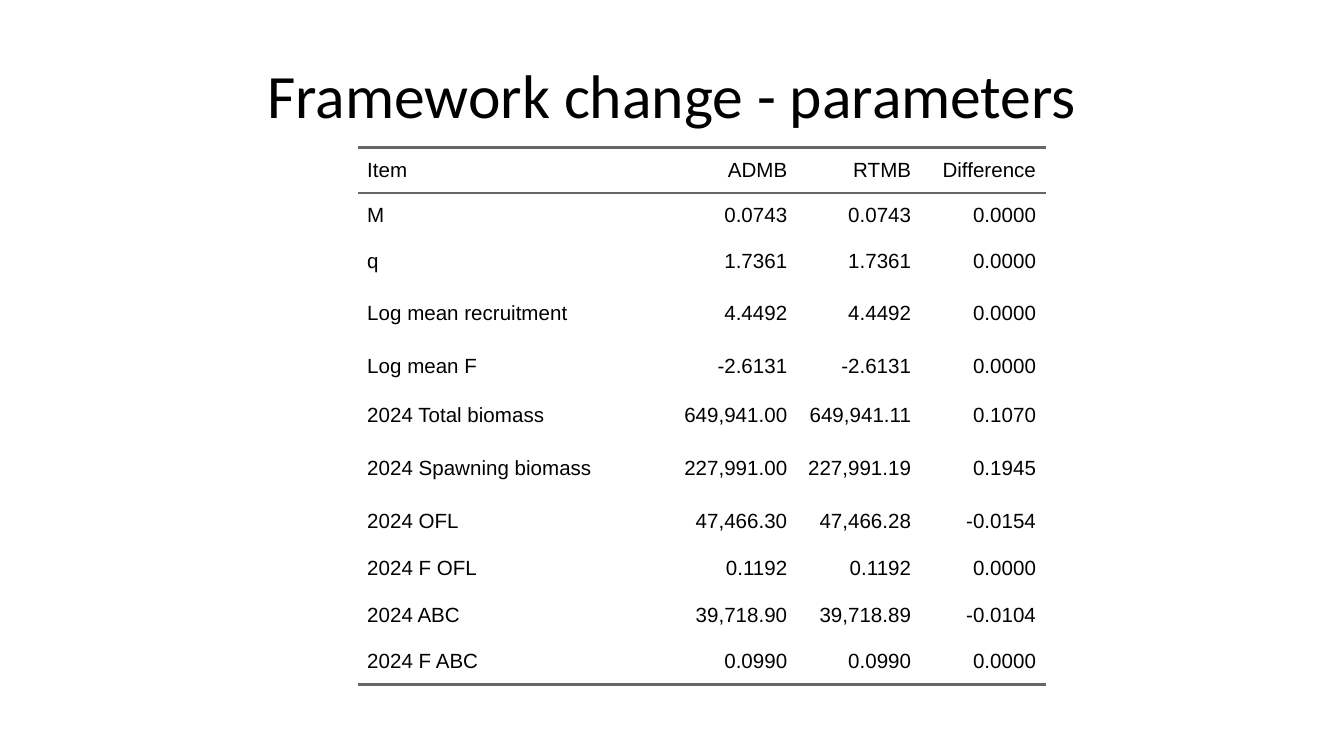
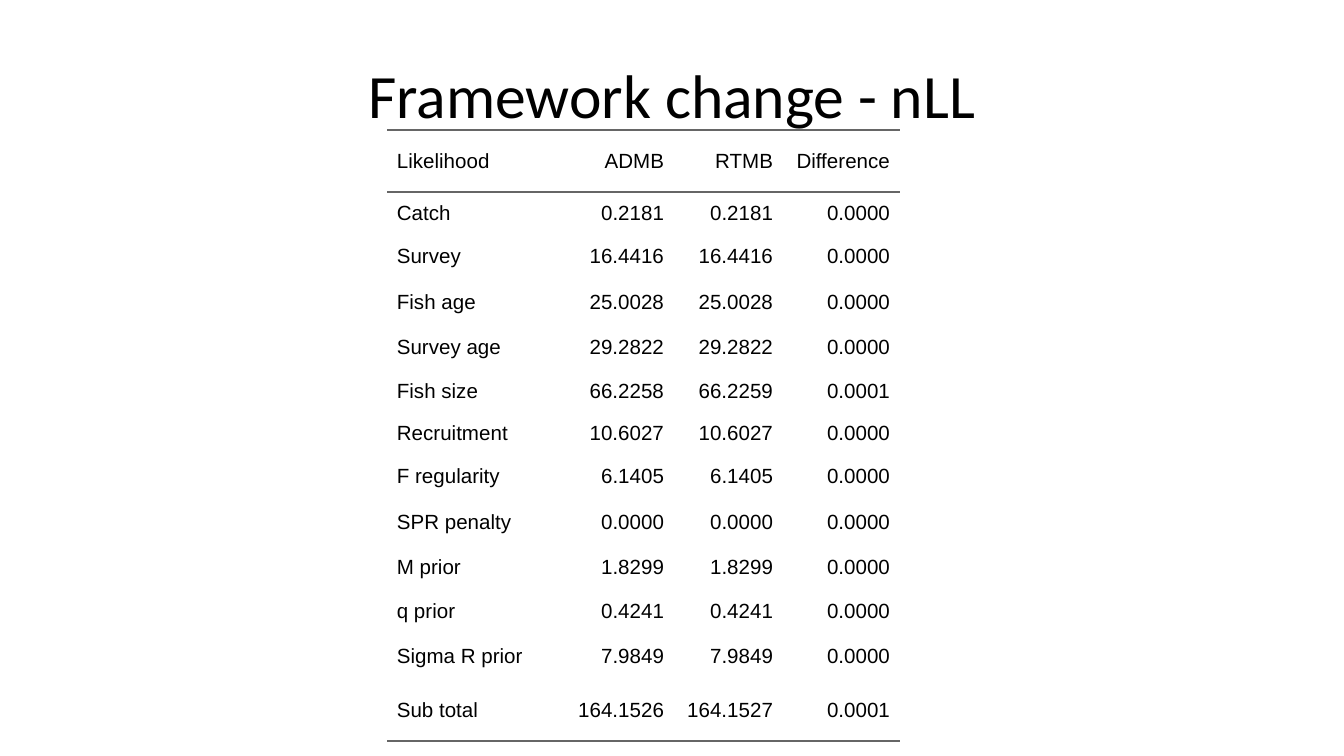
from dataclasses import dataclass

from lxml.etree import SubElement
from pptx import Presentation
from pptx.dml.color import RGBColor
from pptx.enum.text import MSO_VERTICAL_ANCHOR as Anchor, PP_PARAGRAPH_ALIGNMENT as Align
from pptx.oxml.ns import qn
from pptx.util import Cm, Pt


@dataclass(frozen=True)
class Theme:
    ink: str = "000000"
    rule: str = "666666"
    rule_width: int = Pt(1.5)
    title_font: str = "Calibri"
    title_size: int = Pt(33)
    table_font: str = "Arial"
    table_size: int = Pt(11)
    cell_space: int = Pt(5)


class SlideWriter:
    def __init__(self, deck, theme):
        self.deck = deck
        self.theme = theme
        self.page = None

    def new_page(self, title):
        self.page = self.deck.slides.add_slide(self.deck.slide_layouts[6])
        box = self.page.shapes.add_textbox(Cm(1.27), Cm(0.58), Cm(22.86), Cm(2.39))
        frame = box.text_frame
        frame.word_wrap = True
        frame.vertical_anchor = Anchor.MIDDLE
        para = frame.paragraphs[0]
        para.alignment = Align.CENTER
        self.span(para, title, self.theme.title_font, self.theme.title_size)

    def span(self, para, text, font, size):
        span = para.add_run()
        span.text = text
        span.font.name = font
        span.font.size = size
        span.font.color.rgb = RGBColor.from_string(self.theme.ink)

    def table(self, left, top, widths, heights, rows):
        """Add a table ruled above and below its header and below its last row."""
        frame = self.page.shapes.add_table(
            len(rows), len(widths), Cm(left), Cm(top), Cm(sum(widths)), Cm(sum(heights)))
        table = frame.table
        table.first_row = table.horz_banding = False
        for column, width in zip(table.columns, widths):
            column.width = Cm(width)
        for i, (height, values) in enumerate(zip(heights, rows)):
            table.rows[i].height = Cm(height)
            ruled = {"T": i < 2, "B": i in (0, len(rows) - 1)}
            for j, value in enumerate(values):
                self.cell(table.cell(i, j), value, Align.RIGHT if j else Align.LEFT, ruled)

    def cell(self, cell, text, alignment, ruled):
        cell.margin_left = cell.margin_right = Cm(0.18)
        cell.margin_top = cell.margin_bottom = 0
        cell.vertical_anchor = Anchor.MIDDLE
        para = cell.text_frame.paragraphs[0]
        para.alignment = alignment
        para.space_before = para.space_after = self.theme.cell_space
        self.span(para, text, self.theme.table_font, self.theme.table_size)
        self.borders(cell, ruled)
        cell.fill.background()

    def borders(self, cell, ruled):
        properties = cell._tc.get_or_add_tcPr()
        for side in "LRTB":
            line = SubElement(properties, qn(f"a:ln{side}"))
            if ruled.get(side):
                line.set("w", str(self.theme.rule_width))
                fill = SubElement(line, qn("a:solidFill"))
                SubElement(fill, qn("a:srgbClr"), val=self.theme.rule)
            else:
                SubElement(line, qn("a:noFill"))


PARAMETERS = [
    ("Item", "ADMB", "RTMB", "Difference"),
    ("M", "0.0743", "0.0743", "0.0000"),
    ("q", "1.7361", "1.7361", "0.0000"),
    ("Log mean recruitment", "4.4492", "4.4492", "0.0000"),
    ("Log mean F", "-2.6131", "-2.6131", "0.0000"),
    ("2024 Total biomass", "649,941.00", "649,941.11", "0.1070"),
    ("2024 Spawning biomass", "227,991.00", "227,991.19", "0.1945"),
    ("2024 OFL", "47,466.30", "47,466.28", "-0.0154"),
    ("2024 F OFL", "0.1192", "0.1192", "0.0000"),
    ("2024 ABC", "39,718.90", "39,718.89", "-0.0104"),
    ("2024 F ABC", "0.0990", "0.0990", "0.0000"),
]

LIKELIHOODS = [
    ("Likelihood", "ADMB", "RTMB", "Difference"),
    ("Catch", "0.2181", "0.2181", "0.0000"),
    ("Survey", "16.4416", "16.4416", "0.0000"),
    ("Fish age", "25.0028", "25.0028", "0.0000"),
    ("Survey age", "29.2822", "29.2822", "0.0000"),
    ("Fish size", "66.2258", "66.2259", "0.0001"),
    ("Recruitment", "10.6027", "10.6027", "0.0000"),
    ("F regularity", "6.1405", "6.1405", "0.0000"),
    ("SPR penalty", "0.0000", "0.0000", "0.0000"),
    ("M prior", "1.8299", "1.8299", "0.0000"),
    ("q prior", "0.4241", "0.4241", "0.0000"),
    ("Sigma R prior", "7.9849", "7.9849", "0.0000"),
    ("Sub total", "164.1526", "164.1527", "0.0001"),
]


def main():
    deck = Presentation()
    deck.slide_width, deck.slide_height = Cm(25.4), Cm(14.29)
    writer = SlideWriter(deck, Theme())

    writer.new_page("Framework change - parameters")
    writer.table(
        6.76, 2.79, [5.33, 2.97, 2.34, 2.36],
        [0.86, 0.86, 0.86, 1.09, 0.94, 0.91, 1.09, 0.91, 0.86, 0.91, 0.86], PARAMETERS)

    writer.new_page("Framework change - nLL")
    writer.table(
        7.32, 2.46, [3.35, 2.06, 2.06, 2.21],
        [1.17, 0.79, 0.86, 0.86, 0.86, 0.79, 0.79, 0.86, 0.86, 0.84, 0.84, 0.86, 1.17],
        LIKELIHOODS)

    deck.save("out.pptx")


if __name__ == "__main__":
    main()
